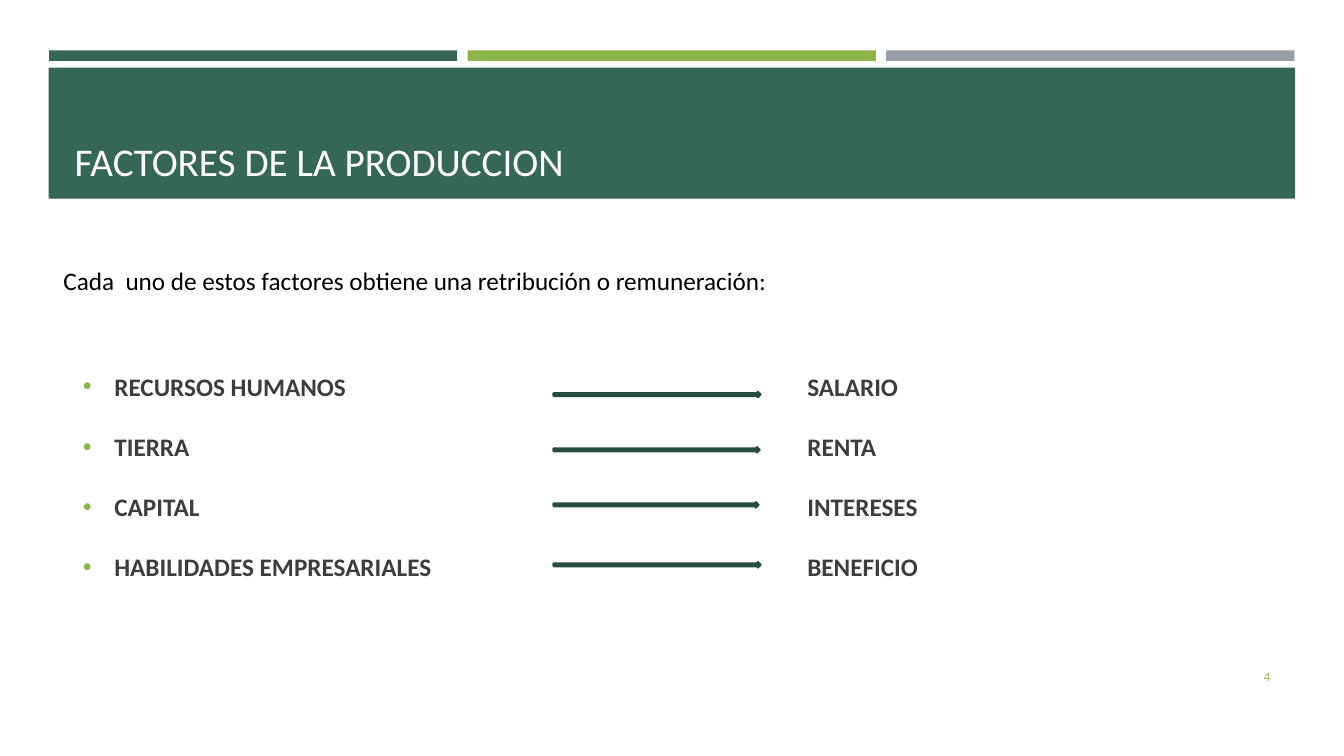
from pptx import Presentation
from pptx.dml.color import RGBColor
from pptx.enum.shapes import MSO_SHAPE as SHAPE
from pptx.enum.text import MSO_ANCHOR as ANCHOR, MSO_AUTO_SIZE as AUTO, PP_ALIGN as ALIGN
from pptx.oxml import parse_xml
from pptx.oxml.ns import nsdecls
from pptx.util import Pt

C = {"green": "366658", "lime": "8CB64A", "gray": "969FA7", "edge": "284B41",
     "text": "3D3D3D", "black": "000000", "white": "FFFFFF"}

prs = Presentation()
prs.slide_width, prs.slide_height = Pt(960), Pt(540)
s = prs.slides.add_slide(prs.slide_layouts[3])
title, factors, rewards = s.placeholders


def write(sp, box, lines, size=18, color="text", bold=False, align=ALIGN.LEFT,
          anchor=ANCHOR.TOP, gap=0, bullet=False):
    sp.left, sp.top, sp.width, sp.height = [Pt(v) for v in box]
    tf = sp.text_frame
    tf.word_wrap, tf.auto_size, tf.vertical_anchor = True, AUTO.NONE, anchor
    for i, line in enumerate(lines):
        p = tf.paragraphs[0] if i == 0 else tf.add_paragraph()
        pPr = p._p.get_or_add_pPr()
        indent = Pt(22.5) if bullet else 0
        pPr.set("marL", str(indent))
        pPr.set("indent", str(-indent))
        p.alignment = align
        p.space_before, p.space_after = Pt(gap if i else 0), Pt(0)
        if bullet:
            pPr.append(parse_xml(f'<a:buClr {nsdecls("a")}><a:srgbClr val="{C["lime"]}"/></a:buClr>'))
            pPr.append(parse_xml(f'<a:buFont {nsdecls("a")} typeface="Arial"/>'))
            pPr.append(parse_xml(f'<a:buChar {nsdecls("a")} char="•"/>'))
        else:
            pPr.append(parse_xml(f'<a:buNone {nsdecls("a")}/>'))
        r = p.add_run()
        r.text = line
        r.font.name, r.font.size, r.font.bold = "Calibri", Pt(size), bold
        r.font.color.rgb = RGBColor.from_string(C[color])


def draw(kind, box, fill, line=None):
    sp = s.shapes.add_shape(kind, *[Pt(v) for v in box])
    sp.shadow.inherit = False
    sp.fill.solid()
    sp.fill.fore_color.rgb = RGBColor.from_string(C[fill])
    if line:
        sp.line.color.rgb = RGBColor.from_string(C[line])
        sp.line.width = Pt(1.75)
    else:
        sp.line.fill.background()
    return sp


# Header bars and title band, kept behind the title
bars = [draw(SHAPE.RECTANGLE, (35 + 299 * i, 36, 291.6, 7.5), color)
        for i, color in enumerate(("green", "lime", "gray"))]
band = draw(SHAPE.RECTANGLE, (34.8, 48.4, 890.4, 93.6), "green")
for sp in bars + [band]:
    title._element.addprevious(sp._element)
write(title, (46.1, 55.4, 868.3, 80), ["FACTORES DE LA PRODUCCION"],
      size=28, color="white", anchor=ANCHOR.BOTTOM)

# Introduction
write(s.shapes.add_textbox(0, 0, 0, 0), (38.2, 185.8, 780.5, 29),
      ["Cada  uno de estos factores obtiene una retribución o remuneración:"], color="black")

# Factors and their rewards
write(factors, (52, 261.4, 338.4, 160),
      ["RECURSOS HUMANOS", "TIERRA", "CAPITAL", "HABILIDADES EMPRESARIALES"],
      bold=True, gap=21.4, bullet=True)
write(rewards, (569.5, 261.4, 338.4, 160),
      ["SALARIO", "RENTA", "INTERESES", "BENEFICIO"], bold=True, gap=21.4)

# Arrows from factor to reward
for top, width in ((280, 147.6), (319.5, 147), (358.8, 146.2), (401.6, 147.6)):
    draw(SHAPE.RIGHT_ARROW, (395.5, top, width, 3.6), "green", "edge")

# Page number
write(s.shapes.add_textbox(0, 0, 0, 0), (831.6, 468.7, 82.8, 28.8), ["4"],
      size=9, color="lime", align=ALIGN.RIGHT, anchor=ANCHOR.MIDDLE)

prs.save("out.pptx")
